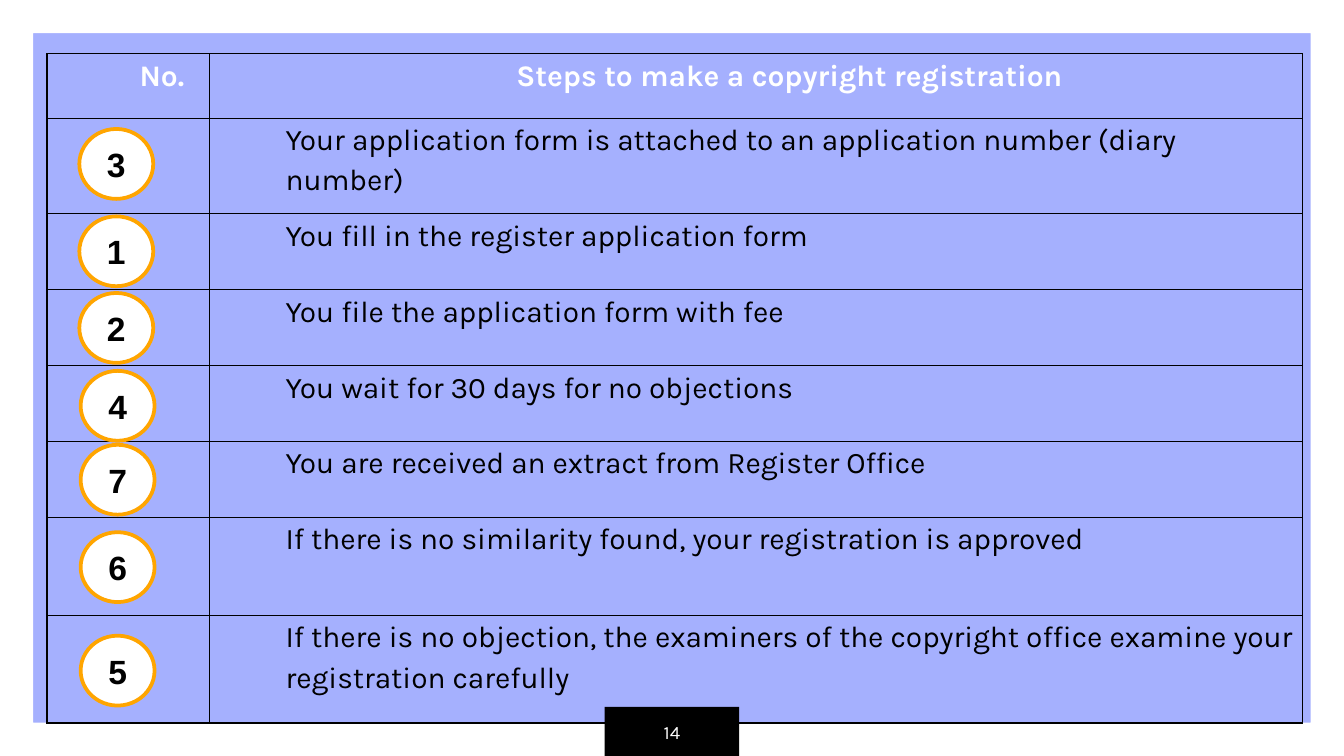
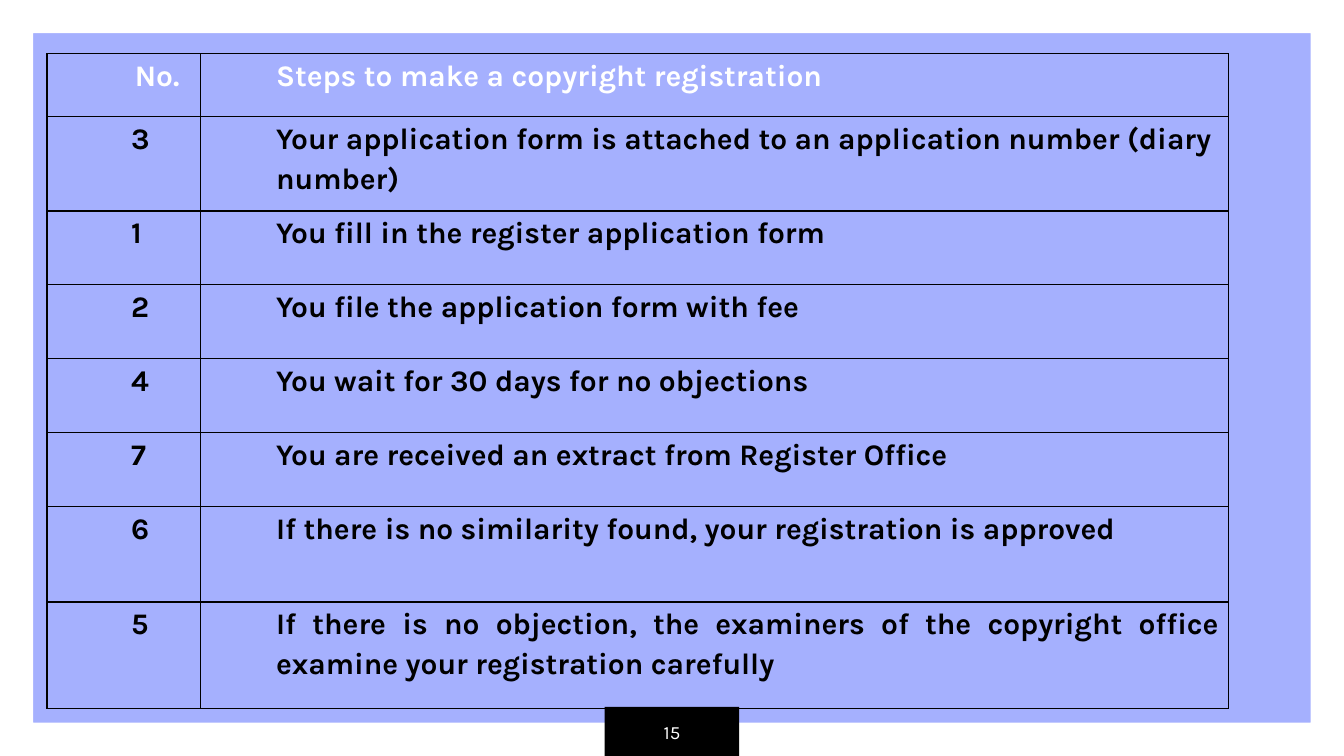
from collections import namedtuple

from pptx import Presentation
from pptx import util as u
from pptx.dml import color
from pptx.enum import shapes, text
from pptx.oxml import parse_xml
from pptx.oxml import ns

Box = namedtuple("Box", "left top width height")

LAVENDER, WHITE, BLACK, ORANGE = "A5B0FE", "FFFFFF", "000000", "FFA500"
CENTER, JUSTIFY, LEFT = text.PP_ALIGN.CENTER, text.PP_ALIGN.JUSTIFY, text.PP_ALIGN.LEFT
PAGE = Box(0, 0, 10, 10 * 9 / 16)
PAGE_TAB = Box(4.5, 5.26, 1, 0.37)
HEADER = ("No.", "Steps to make a copyright registration")
STEPS = [
    (3, "Your application form is attached to an application number (diary number)"),
    (1, "You fill in the register application form"),
    (2, "You file the application form with fee"),
    (4, "You wait for 30 days for no objections"),
    (7, "You are received an extract from Register Office"),
    (6, "If there is no similarity found, your registration is approved"),
    (5, "If there is no objection, the examiners of the copyright office examine your registration carefully"),
]
BADGE_WIDTH, BADGE_HEIGHT = 0.55, 0.52
BADGE_OFFSETS = [(0.24, 0.56), (0.24, 1.21), (0.24, 1.78), (0.25, 2.36),
                 (0.25, 2.91), (0.25, 3.56), (0.25, 4.33)]


def rgb(value):
    """Turn a hex string into a colour."""
    return color.RGBColor.from_string(value)


def apply(target, values):
    """Set every attribute named in a dict of format values."""
    for name, value in values.items():
        setattr(target, name, value)


def inches(box):
    """Convert a box of numbers into lengths."""
    return [u.Inches(value) for value in box]


def write(frame, wording, font, layout):
    """Put one formatted paragraph into a text frame."""
    paragraph = frame.paragraphs[0]
    apply(paragraph, layout)
    run = paragraph.add_run()
    run.text = wording
    font = dict(font)
    run.font.color.rgb = rgb(font.pop("color"))
    apply(run.font, font)


def add_plain_shape(slide, kind, box, fill, line=None):
    """Add a preset shape without shadow, outlined only if a line colour is given."""
    shape = slide.shapes.add_shape(kind, *inches(box))
    shape.shadow.inherit = False
    shape.fill.solid()
    shape.fill.fore_color.rgb = rgb(fill)
    if line:
        shape.line.color.rgb = rgb(line)
        shape.line.width = u.Pt(2)
    else:
        shape.line.fill.background()
    return shape


def add_page_tab(slide, box, number):
    """Draw the black page tab and its number."""
    add_plain_shape(slide, shapes.MSO_SHAPE.RECTANGLE, box, BLACK)
    frame = slide.shapes.add_textbox(*inches(box)).text_frame
    margins = dict.fromkeys(("margin_left", "margin_top", "margin_right", "margin_bottom"), u.Inches(0.1))
    apply(frame, {"word_wrap": True, "vertical_anchor": text.MSO_ANCHOR.MIDDLE, **margins})
    write(frame, str(number), {"name": "Karla", "size": u.Pt(10), "color": WHITE}, {"alignment": CENTER})


def add_base_slide(presentation, box, number):
    """Add a slide with lavender ground, white frame and page tab."""
    slide = presentation.slides.add_slide(presentation.slide_layouts[6])
    slide.background.fill.solid()
    slide.background.fill.fore_color.rgb = rgb(LAVENDER)
    frame = add_plain_shape(slide, shapes.MSO_SHAPE.FRAME, box, WHITE)
    frame.adjustments[0] = 0.044
    add_page_tab(slide, PAGE_TAB, number)
    return slide


def format_cell(cell):
    """Give a cell thin black borders, narrow margins and no fill."""
    properties = cell._tc.get_or_add_tcPr()
    for side in "LRTB":
        properties.append(parse_xml(
            f'<a:ln{side} {ns.nsdecls("a")} w="{u.Pt(0.75)}"><a:solidFill>'
            f'<a:srgbClr val="{BLACK}"/></a:solidFill></a:ln{side}>'))
    cell.fill.background()
    apply(cell, {"margin_left": u.Pt(4.7), "margin_right": u.Pt(4.7),
                 "margin_top": 0, "margin_bottom": 0})


def write_cell(cell, wording, ink, bold, alignment=LEFT, space_after=10, indent=0.5):
    """Write an indented table entry."""
    paragraph = cell.text_frame.paragraphs[0]
    paragraph._p.get_or_add_pPr().set("marL", str(u.Inches(indent)))
    write(cell.text_frame, wording,
          {"name": "Karla", "size": u.Pt(16), "bold": bold, "color": ink},
          {"alignment": alignment, "line_spacing": 1.15, "space_after": u.Pt(space_after)})


def add_steps_table(slide, box, number_width, top_rows, bottom_rows, title_alignment, bold, numbered):
    """Draw the table of steps, sharing the remaining height among the middle rows."""
    row_count = len(STEPS) + 1
    middle_count = row_count - len(top_rows) - len(bottom_rows)
    middle_height = (box.height - sum(top_rows) - sum(bottom_rows)) / middle_count
    heights = top_rows + [middle_height] * middle_count + bottom_rows
    widths = [number_width, box.width - number_width]
    table = slide.shapes.add_table(row_count, len(widths), *inches(box)).table
    apply(table, {"first_row": False, "horz_banding": False})
    for column, width in zip(table.columns, widths):
        column.width = u.Inches(width)
    for row, height in zip(table.rows, heights):
        row.height = u.Inches(height)
    for cell in table.iter_cells():
        format_cell(cell)
    write_cell(table.cell(0, 0), HEADER[0], WHITE, True, CENTER, 0)
    write_cell(table.cell(0, 1), HEADER[1], WHITE, True, title_alignment)
    for index, (number, step) in enumerate(STEPS, 1):
        if numbered:
            write_cell(table.cell(index, 0), str(number), BLACK, bold, space_after=0, indent=0.56)
        alignment = JUSTIFY if index == len(STEPS) else LEFT
        write_cell(table.cell(index, 1), step, BLACK, bold, alignment)


def add_badges(slide, box):
    """Place the round step numbers over the first column."""
    for (number, _), (left, top) in zip(STEPS, BADGE_OFFSETS):
        badge_box = Box(box.left + left, box.top + top, BADGE_WIDTH, BADGE_HEIGHT)
        badge = add_plain_shape(slide, shapes.MSO_SHAPE.OVAL, badge_box, WHITE, ORANGE)
        badge.text_frame.vertical_anchor = text.MSO_ANCHOR.MIDDLE
        write(badge.text_frame, str(number),
              {"name": "Arial", "size": u.Pt(18), "bold": True, "color": BLACK}, {"alignment": CENTER})


def main():
    """Build both slides and save them."""
    presentation = Presentation()
    apply(presentation, {"slide_width": u.Inches(PAGE.width), "slide_height": u.Inches(PAGE.height)})

    badge_slide = add_base_slide(presentation, PAGE, 14)
    badge_table = Box(0.35, 0.4, 9.34, 4.98)
    add_steps_table(badge_slide, badge_table, 1.21, [0.48, 0.71], [0.73, 0.8], CENTER, False, False)
    add_badges(badge_slide, badge_table)

    number_slide = add_base_slide(presentation, PAGE, 15)
    number_table = Box(0.35, 0.4, 8.79, 4.87)
    add_steps_table(number_slide, number_table, 1.14, [0.47, 0.7], [0.71, 0.79], LEFT, True, True)

    presentation.save("out.pptx")


if __name__ == "__main__":
    main()
